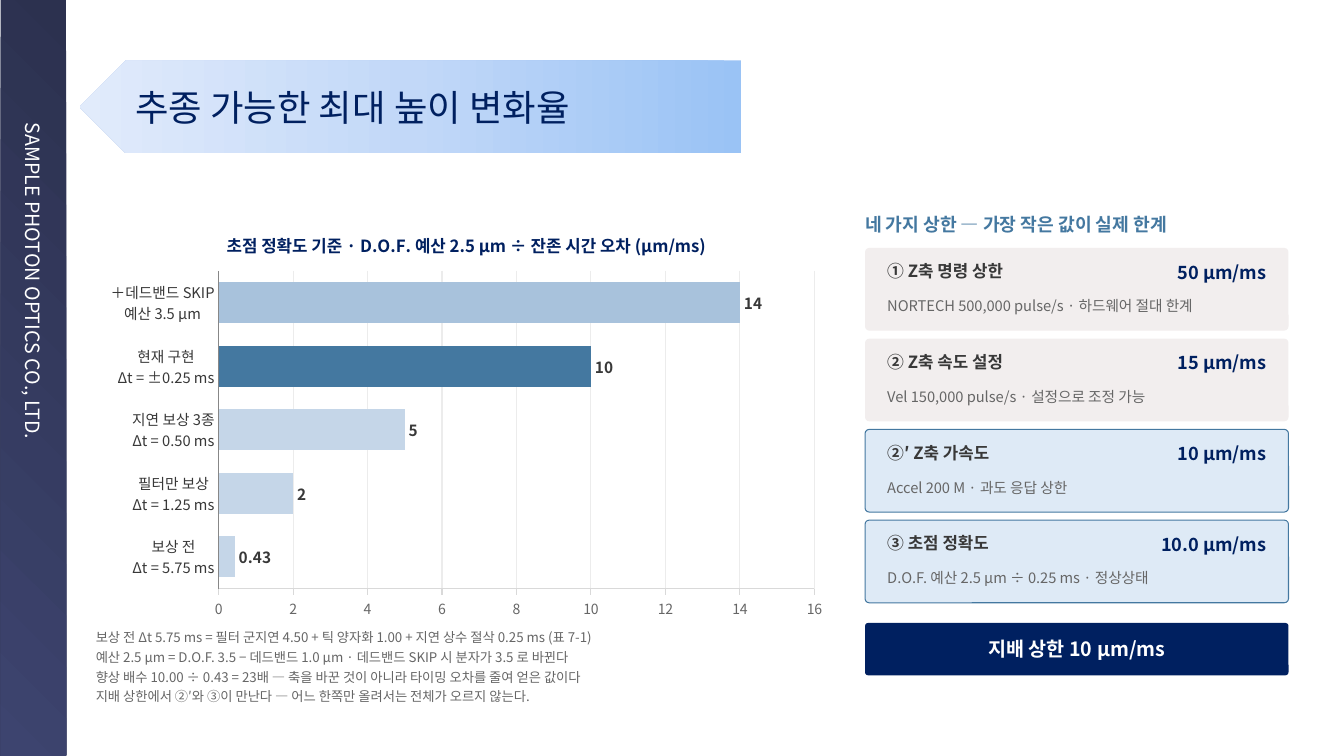
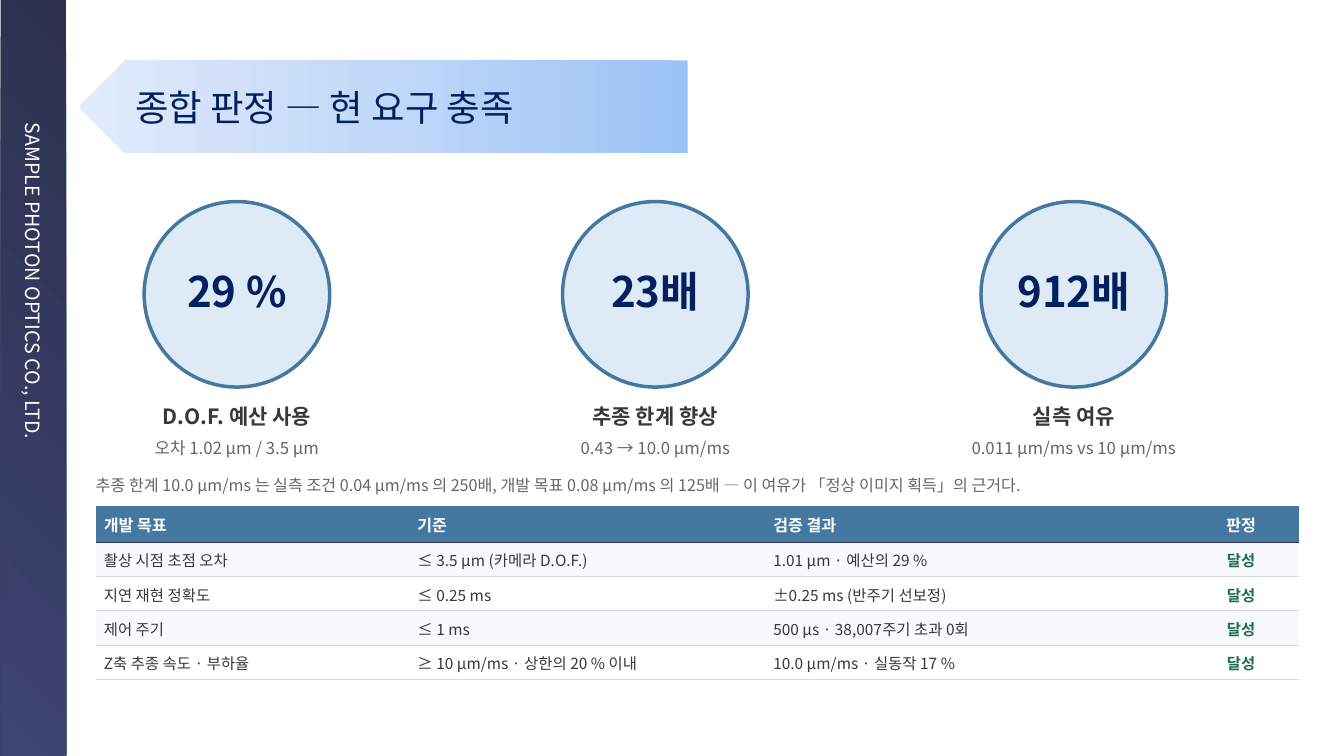
from copy import deepcopy
from dataclasses import dataclass

from lxml.etree import SubElement
from pptx import Presentation
from pptx.chart.data import CategoryChartData
from pptx.dml.color import RGBColor
from pptx.enum.chart import XL_CHART_TYPE as ChartType, XL_LABEL_POSITION as LabelPos
from pptx.enum.chart import XL_TICK_MARK as Tick
from pptx.enum.shapes import MSO_SHAPE as Preset
from pptx.enum.text import MSO_ANCHOR as Anchor, MSO_AUTO_SIZE as AutoSize, PP_ALIGN as Align
from pptx.oxml import parse_xml
from pptx.oxml.ns import nsdecls, qn
from pptx.util import Inches, Pt


@dataclass(frozen=True)
class Theme:
    font: str = "Noto Sans CJK KR"
    navy: str = "002060"
    blue: str = "4478A0"
    mid_blue: str = "A8C2DC"
    soft_blue: str = "C5D6E8"
    pale_blue: str = "DEEAF6"
    band: tuple = ("2C314F", "3D446F")
    banner: tuple = ("9AC3F5", "C2D8F8", "E1EBFB")
    warm_gray: str = "F2EEEE"
    stripe: str = "F7F9FC"
    rule: str = "D9D9D9"
    grid: str = "ECECEC"
    ink: str = "383838"
    muted: str = "666666"
    green: str = "1F6B4A"
    white: str = "FFFFFF"
    title: float = 26
    figure: float = 30
    caption: float = 15
    lead: float = 14
    heading: float = 13
    label: float = 12
    body: float = 11.5
    cell: float = 11
    detail: float = 10.5
    axis: float = 10
    note: float = 9.5


T = Theme()
rgb = RGBColor.from_string


def write(frame, lines, size, color, bold=False, align=Align.LEFT, anchor=Anchor.TOP,
          spacing=None, after=None, inset=(0, 0, 0, 0)):
    """Fill a text frame, one paragraph per line; inset None keeps a table cell's own margins."""
    if inset is not None:
        frame.auto_size = AutoSize.NONE
        frame.word_wrap = True
        frame.vertical_anchor = anchor
        (frame.margin_left, frame.margin_top,
         frame.margin_right, frame.margin_bottom) = (Inches(side) for side in inset)
    frame.text = "\n".join(lines)
    for paragraph in frame.paragraphs:
        paragraph.alignment = align
        if spacing:
            paragraph.line_spacing = spacing
        if after and paragraph is not frame.paragraphs[-1]:
            paragraph.space_after = Pt(after)
        font = paragraph.font
        font.name, font.size, font.bold = T.font, Pt(size), bold
        font.color.rgb = rgb(color)


def paint(shape, colors, angle=0, line=None, width=0.75):
    """Fill with one colour or with an even gradient, and outline only if a line colour is given."""
    shape.shadow.inherit = False
    if line:
        shape.line.color.rgb = rgb(line)
        shape.line.width = Pt(width)
    else:
        shape.line.fill.background()
    if len(colors) == 1:
        shape.fill.solid()
        shape.fill.fore_color.rgb = rgb(colors[0])
        return
    shape.fill.gradient()
    shape.fill.gradient_angle = -angle % 360
    stops = shape.element.spPr.find(qn("a:gradFill")).find(qn("a:gsLst"))
    while len(stops) < len(colors):
        stops.append(deepcopy(stops[0]))
    for i, (stop, color) in enumerate(zip(shape.fill.gradient_stops, colors)):
        stop.color.rgb = rgb(color)
        stop.position = i / (len(colors) - 1)


prs = Presentation()
prs.slide_width, prs.slide_height = Inches(13.33), Inches(7.5)
layout = prs.slide_layouts[5]

# Shared title banners and company band
slides = []
for title, banner_width in (("추종 가능한 최대 높이 변화율", 6.56), ("종합 판정 — 현 요구 충족", 6.03)):
    slide = prs.slides.add_slide(layout)
    banner = slide.shapes.add_shape(
        Preset.PENTAGON, Inches(0.79), Inches(0.6), Inches(banner_width), Inches(0.92))
    banner.element.spPr.find(qn("a:xfrm")).set("flipH", "1")
    paint(banner, T.banner)
    heading = slide.shapes.title
    heading.left, heading.top = Inches(1.34), Inches(0.6)
    heading.width, heading.height = Inches(banner_width - 0.98), Inches(0.92)
    write(heading.text_frame, [title], T.title, T.navy, anchor=Anchor.MIDDLE)
    slide.shapes.element.append(heading.element)
    slides.append(slide)
limits_slide, verdict_slide = slides

band = limits_slide.shapes.add_shape(
    Preset.RECTANGLE, Inches(-3.42), Inches(3.42), Inches(7.5), Inches(0.65))
band.rotation = 90
paint(band, T.band, angle=45)
write(band.text_frame, ["SAMPLE PHOTON OPTICS CO., LTD."], T.lead, T.white,
      anchor=Anchor.MIDDLE, inset=(1.22, 0.05, 0.1, 0.05))
for latin in list(band.element.iter(qn("a:latin"))):
    latin.addnext(parse_xml(f'<a:ea {nsdecls("a")} typeface="{T.font}"/>'))
layout.shapes.element.append(band.element)

# Chart of trackable height change
data = CategoryChartData()
data.categories = ["보상 전\nΔt = 5.75 ms", "필터만 보상\nΔt = 1.25 ms", "지연 보상 3종\nΔt = 0.50 ms",
                   "현재 구현\nΔt = ±0.25 ms", "＋데드밴드 SKIP\n예산 3.5 µm"]
data.add_series("Series 1", (0.43, 2, 5, 10, 14))
chart = limits_slide.shapes.add_chart(
    ChartType.BAR_CLUSTERED, Inches(0.95), Inches(2.12), Inches(7.35), Inches(4.1), data).chart
chart.has_legend = False
chart.font.name = T.font
chart.has_title = True
chart.chart_title.include_in_layout = False
chart_title = chart.chart_title.text_frame.paragraphs[0].add_run()
chart_title.text = "초점 정확도 기준 · D.O.F. 예산 2.5 µm ÷ 잔존 시간 오차 (µm/ms)"
chart_title.font.name = T.font

plot = chart.plots[0]
plot.gap_width = 55
plot.vary_by_categories = False
plot.has_data_labels = True
value_labels = plot.data_labels
value_labels.show_value = True
value_labels.position = LabelPos.OUTSIDE_END
bars = plot.series[0]
bars.format.fill.solid()
bars.format.fill.fore_color.rgb = rgb(T.soft_blue)
for index, color in ((3, T.blue), (4, T.mid_blue)):
    highlight = bars.points[index].format.fill
    highlight.solid()
    highlight.fore_color.rgb = rgb(color)

stages, rates = chart.category_axis, chart.value_axis
stages.major_tick_mark = Tick.NONE
rates.minimum_scale, rates.maximum_scale, rates.major_unit = 0, 16, 2
rates.major_tick_mark = Tick.OUTSIDE
for line, color in ((rates.format.line, T.rule), (rates.major_gridlines.format.line, T.grid)):
    line.color.rgb = rgb(color)
    line.width = Pt(0.75)
for font, size, color, bold in (
        (chart_title.font, T.label, T.navy, True),
        (value_labels.font, T.cell, T.ink, True),
        (stages.tick_labels.font, T.detail, T.ink, False),
        (rates.tick_labels.font, T.axis, T.muted, False)):
    font.name, font.size, font.bold = T.font, Pt(size), bold
    font.color.rgb = rgb(color)

# Four limits
limits_heading = limits_slide.shapes.add_textbox(
    Inches(8.58), Inches(2.12), Inches(4.2), Inches(0.3))
write(limits_heading.text_frame, ["네 가지 상한 — 가장 작은 값이 실제 한계"],
      T.heading, T.blue, bold=True)
limits = [
    ("① Z축 명령 상한", "50 µm/ms", "NORTECH 500,000 pulse/s · 하드웨어 절대 한계", False),
    ("② Z축 속도 설정", "15 µm/ms", "Vel 150,000 pulse/s · 설정으로 조정 가능", False),
    ("②′ Z축 가속도", "10 µm/ms", "Accel 200 M · 과도 응답 상한", True),
    ("③ 초점 정확도", "10.0 µm/ms", "D.O.F. 예산 2.5 µm ÷ 0.25 ms · 정상상태", True),
]
for i, (name, value, detail, governing) in enumerate(limits):
    top = 2.46 + 0.9 * i
    card = limits_slide.shapes.add_shape(
        Preset.ROUNDED_RECTANGLE, Inches(8.58), Inches(top), Inches(4.2), Inches(0.82))
    card.adjustments[0] = 0.05
    paint(card, [T.pale_blue if governing else T.warm_gray], line=T.blue if governing else None)
    for text, offset, size, color, bold, align, spacing in (
            (name, 0.13, T.label, T.ink, True, Align.LEFT, None),
            (value, 0.13, T.heading, T.navy, True, Align.RIGHT, None),
            (detail, 0.46, T.detail, T.muted, False, Align.LEFT, 1.15)):
        entry = limits_slide.shapes.add_textbox(
            Inches(8.8), Inches(top + offset), Inches(3.76), Inches(0.3))
        write(entry.text_frame, [text], size, color, bold, align, spacing=spacing)

governing_limit = limits_slide.shapes.add_shape(
    Preset.ROUNDED_RECTANGLE, Inches(8.58), Inches(6.18), Inches(4.2), Inches(0.52))
governing_limit.adjustments[0] = 0.06
paint(governing_limit, [T.navy])
write(governing_limit.text_frame, ["지배 상한 10 µm/ms"], T.lead, T.white, True,
      Align.CENTER, Anchor.MIDDLE, inset=(0.06, 0.02, 0.06, 0.02))

chart_notes = limits_slide.shapes.add_textbox(
    Inches(0.95), Inches(6.22), Inches(7.35), Inches(0.74))
write(chart_notes.text_frame, [
    "보상 전 Δt 5.75 ms = 필터 군지연 4.50 + 틱 양자화 1.00 + 지연 상수 절삭 0.25 ms (표 7-1)",
    "예산 2.5 µm = D.O.F. 3.5 − 데드밴드 1.0 µm · 데드밴드 SKIP 시 분자가 3.5 로 바뀐다",
    "향상 배수 10.00 ÷ 0.43 = 23배 — 축을 바꾼 것이 아니라 타이밍 오차를 줄여 얻은 값이다",
    "지배 상한에서 ②′와 ③이 만난다 — 어느 한쪽만 올려서는 전체가 오르지 않는다.",
], T.note, T.muted, spacing=1.15, after=1)

# Key figures
figures = [
    ("29 %", "D.O.F. 예산 사용", "오차 1.02 µm / 3.5 µm"),
    ("23배", "추종 한계 향상", "0.43 → 10.0 µm/ms"),
    ("912배", "실측 여유", "0.011 µm/ms vs 10 µm/ms"),
]
for i, (figure, caption, basis) in enumerate(figures):
    left = 0.6 + 4.15 * i
    circle = verdict_slide.shapes.add_shape(
        Preset.OVAL, Inches(left + 0.83), Inches(2), Inches(1.84), Inches(1.84))
    paint(circle, [T.pale_blue], line=T.blue, width=2.5)
    write(circle.text_frame, [figure], T.figure, T.navy, True, Align.CENTER, Anchor.MIDDLE,
          inset=(0, 0, 0, 0.08))
    circle.text_frame.word_wrap = False
    for text, top, size, color, bold in ((caption, 4, T.caption, T.ink, True),
                                         (basis, 4.34, T.label, T.muted, False)):
        entry = verdict_slide.shapes.add_textbox(
            Inches(left), Inches(top), Inches(3.5), Inches(0.32))
        write(entry.text_frame, [text], size, color, bold, Align.CENTER)

# Verdict table
rows = [
    ("개발 목표", "기준", "검증 결과", "판정"),
    ("촬상 시점 초점 오차", "≤ 3.5 µm (카메라 D.O.F.)", "1.01 µm · 예산의 29 %", "달성"),
    ("지연 재현 정확도", "≤ 0.25 ms", "±0.25 ms (반주기 선보정)", "달성"),
    ("제어 주기", "≤ 1 ms", "500 µs · 38,007주기 초과 0회", "달성"),
    ("Z축 추종 속도 · 부하율", "≥ 10 µm/ms · 상한의 20 % 이내", "10.0 µm/ms · 실동작 17 %", "달성"),
]
table_frame = verdict_slide.shapes.add_table(
    len(rows), 4, Inches(0.95), Inches(5.02), Inches(11.93), Inches(1.72))
table = table_frame.table
table.horz_banding = False
for style_id in table_frame.element.iter(qn("a:tableStyleId")):
    style_id.text = "{2D5ABB26-0587-4C30-8999-92F81FD0307C}"  # no style, no grid
for column, width in zip(table.columns, (3.11, 3.53, 4.15, 1.14)):
    column.width = Inches(width)
for r, row in enumerate(rows):
    header = r == 0
    table.rows[r].height = Inches(0.36 if header else 0.34)
    for c, text in enumerate(row):
        cell = table.cell(r, c)
        verdict = c == len(row) - 1
        cell.vertical_anchor = Anchor.MIDDLE
        cell.margin_left = cell.margin_right = Inches(0.08)
        cell.margin_top = cell.margin_bottom = Inches(0.03)
        cell.fill.solid()
        cell.fill.fore_color.rgb = rgb(T.blue if header else T.stripe if r % 2 else T.white)
        write(cell.text_frame, [text], T.body if header else T.cell,
              T.white if header else T.green if verdict else T.ink, header or verdict,
              Align.CENTER if verdict else Align.LEFT, spacing=1.05, inset=None)
for r, table_row in enumerate(table_frame.element.iter(qn("a:tr"))):
    color, width = (T.rule, 0.6) if r else (T.band[0], 1.2)
    for properties in table_row.iter(qn("a:tcPr")):
        border = SubElement(properties, qn("a:lnB"), w=str(Pt(width)))
        SubElement(SubElement(border, qn("a:solidFill")), qn("a:srgbClr"), val=color)
        properties.insert(0, border)

margin_note = verdict_slide.shapes.add_textbox(
    Inches(0.95), Inches(4.72), Inches(11.83), Inches(0.3))
write(margin_note.text_frame, [
    "추종 한계 10.0 µm/ms 는 실측 조건 0.04 µm/ms 의 250배, 개발 목표 0.08 µm/ms 의 125배"
    " — 이 여유가 「정상 이미지 획득」의 근거다."], T.body, T.muted)

# Korean glyphs use the same typeface as Latin ones
for part in (limits_slide.shapes.element, verdict_slide.shapes.element, chart.element):
    for latin in list(part.iter(qn("a:latin"))):
        latin.addnext(parse_xml(f'<a:ea {nsdecls("a")} typeface="{T.font}"/>'))

prs.save("out.pptx")
